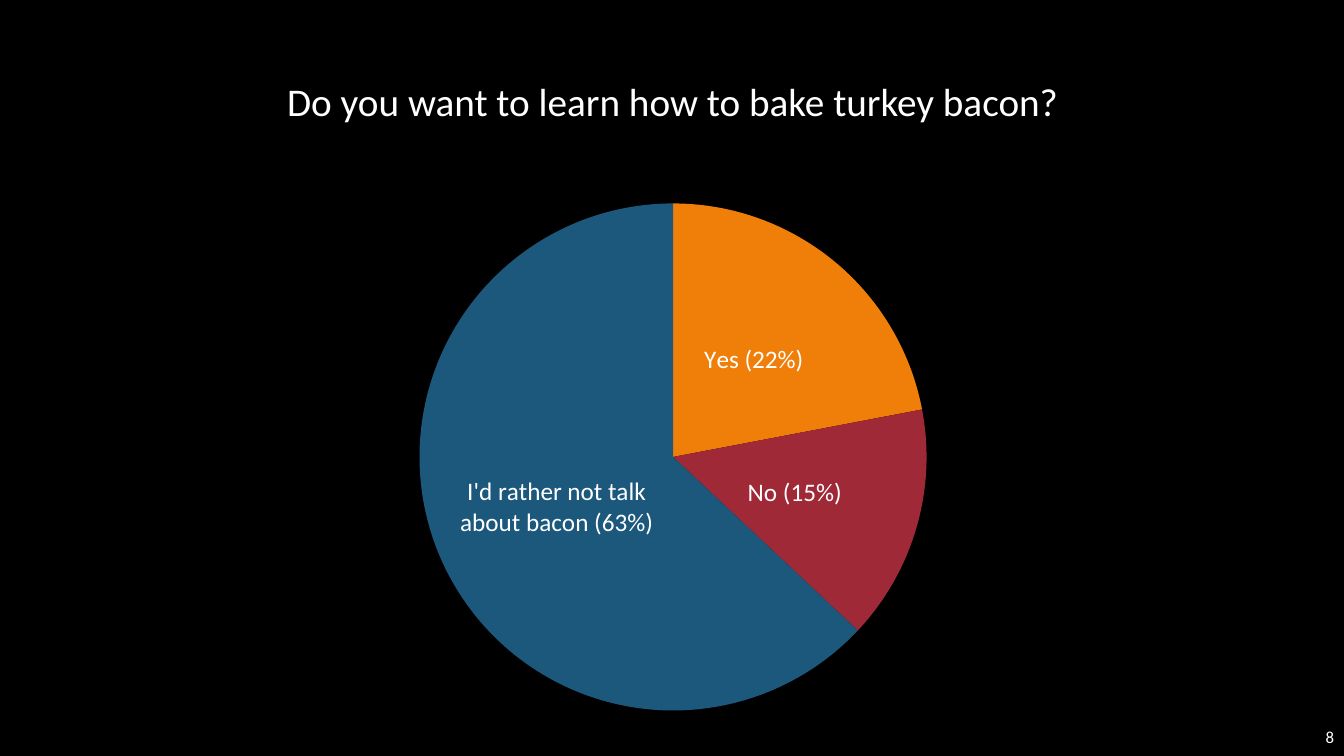
from dataclasses import dataclass

from lxml.etree import SubElement
from pptx import Presentation
from pptx.chart.data import CategoryChartData
from pptx.dml.color import RGBColor
from pptx.enum.chart import XL_CHART_TYPE, XL_LABEL_POSITION
from pptx.enum.text import MSO_ANCHOR, PP_ALIGN
from pptx.oxml.ns import qn
from pptx.slide import Slide
from pptx.util import Emu, Pt

PX = 9525
FONT = "Calibri"
BLACK = RGBColor(0x00, 0x00, 0x00)
WHITE = RGBColor(0xFF, 0xFF, 0xFF)
ORANGE = RGBColor(0xF0, 0x7F, 0x09)
RED = RGBColor(0x9F, 0x29, 0x36)
BLUE = RGBColor(0x1B, 0x58, 0x7C)


@dataclass(frozen=True)
class Box:
    """A rectangle in px."""
    left: int
    top: int
    width: int
    height: int

    def emu(self) -> tuple[Emu, Emu, Emu, Emu]:
        """Return the rectangle in EMU."""
        return tuple(Emu(side * PX) for side in
                     (self.left, self.top, self.width, self.height))


@dataclass(frozen=True)
class Caption:
    """A single line of text on the slide."""
    text: str
    box: Box
    size: int
    align: PP_ALIGN
    spacing: float


@dataclass(frozen=True)
class Answer:
    """A poll answer with its share in percent."""
    text: str
    share: int
    color: RGBColor

    @property
    def label(self) -> str:
        """Return the wording shown on the slice."""
        return f"{self.text} ({self.share}%)"


QUESTION = Caption("Do you want to learn how to bake turkey bacon?",
                   Box(114, 38, 1053, 121), 28, PP_ALIGN.CENTER, 0.9)
PAGE_NUMBER = Caption("8", Box(1205, 684, 75, 36), 12, PP_ALIGN.RIGHT, 1.0)
POLL_BOX = Box(114, 180, 1053, 510)
PIE_BOX = Box(285, 14, 483, 483)
ANSWERS = (
    Answer("Yes", 22, ORANGE),
    Answer("No", 15, RED),
    Answer("I'd rather not talk about bacon", 63, BLUE),
)


def style_font(font, size: int) -> None:
    """Apply the common white typeface."""
    font.name = FONT
    font.size = Pt(size)
    font.color.rgb = WHITE


def add_caption(slide: Slide, caption: Caption) -> None:
    """Add a vertically centred line of text."""
    frame = slide.shapes.add_textbox(*caption.box.emu()).text_frame
    frame.word_wrap = True
    frame.vertical_anchor = MSO_ANCHOR.MIDDLE
    frame.text = caption.text
    line = frame.paragraphs[0]
    line.alignment = caption.align
    line.line_spacing = caption.spacing
    style_font(line.runs[0].font, caption.size)


def place_pie(chart) -> None:
    """Fix the pie's place within the chart area."""
    plot_area = chart.plots[0]._element.getparent()
    for old_layout in plot_area.findall(qn("c:layout")):
        plot_area.remove(old_layout)
    layout = SubElement(plot_area, qn("c:layout"))
    plot_area.insert(0, layout)
    manual = SubElement(layout, qn("c:manualLayout"))
    settings = {
        "layoutTarget": "inner", "xMode": "edge", "yMode": "edge",
        "x": round(PIE_BOX.left / POLL_BOX.width, 3),
        "y": round(PIE_BOX.top / POLL_BOX.height, 3),
        "w": round(PIE_BOX.width / POLL_BOX.width, 3),
        "h": round(PIE_BOX.height / POLL_BOX.height, 3),
    }
    for name, value in settings.items():
        SubElement(manual, qn(f"c:{name}")).set("val", str(value))


def add_poll(slide: Slide, answers: tuple[Answer, ...]) -> None:
    """Add the pie chart of answers."""
    results = CategoryChartData()
    results.categories = [str(number) for number in range(1, len(answers) + 1)]
    results.add_series("Series 1", [answer.share for answer in answers])
    chart = slide.shapes.add_chart(
        XL_CHART_TYPE.PIE, *POLL_BOX.emu(), results).chart
    chart.has_title = False
    chart.has_legend = False
    style_font(chart.font, 18)
    pie = chart.plots[0]
    pie.vary_by_categories = True
    for index, answer in enumerate(answers):
        point = pie.series[0].points[index]
        point.format.fill.solid()
        point.format.fill.fore_color.rgb = answer.color
        point.format.line.fill.background()
        label = point.data_label
        label.text_frame.text = answer.label
        style_font(label.text_frame.paragraphs[0].runs[0].font, 18)
        label.position = XL_LABEL_POSITION.CENTER
    place_pie(chart)


def main() -> None:
    """Build and save the slide."""
    presentation = Presentation()
    presentation.slide_width = Emu(1280 * PX)
    presentation.slide_height = Emu(720 * PX)
    slide = presentation.slides.add_slide(presentation.slide_layouts[6])
    slide.background.fill.solid()
    slide.background.fill.fore_color.rgb = BLACK
    for caption in (PAGE_NUMBER, QUESTION):
        add_caption(slide, caption)
    add_poll(slide, ANSWERS)
    presentation.save("out.pptx")


if __name__ == "__main__":
    main()
